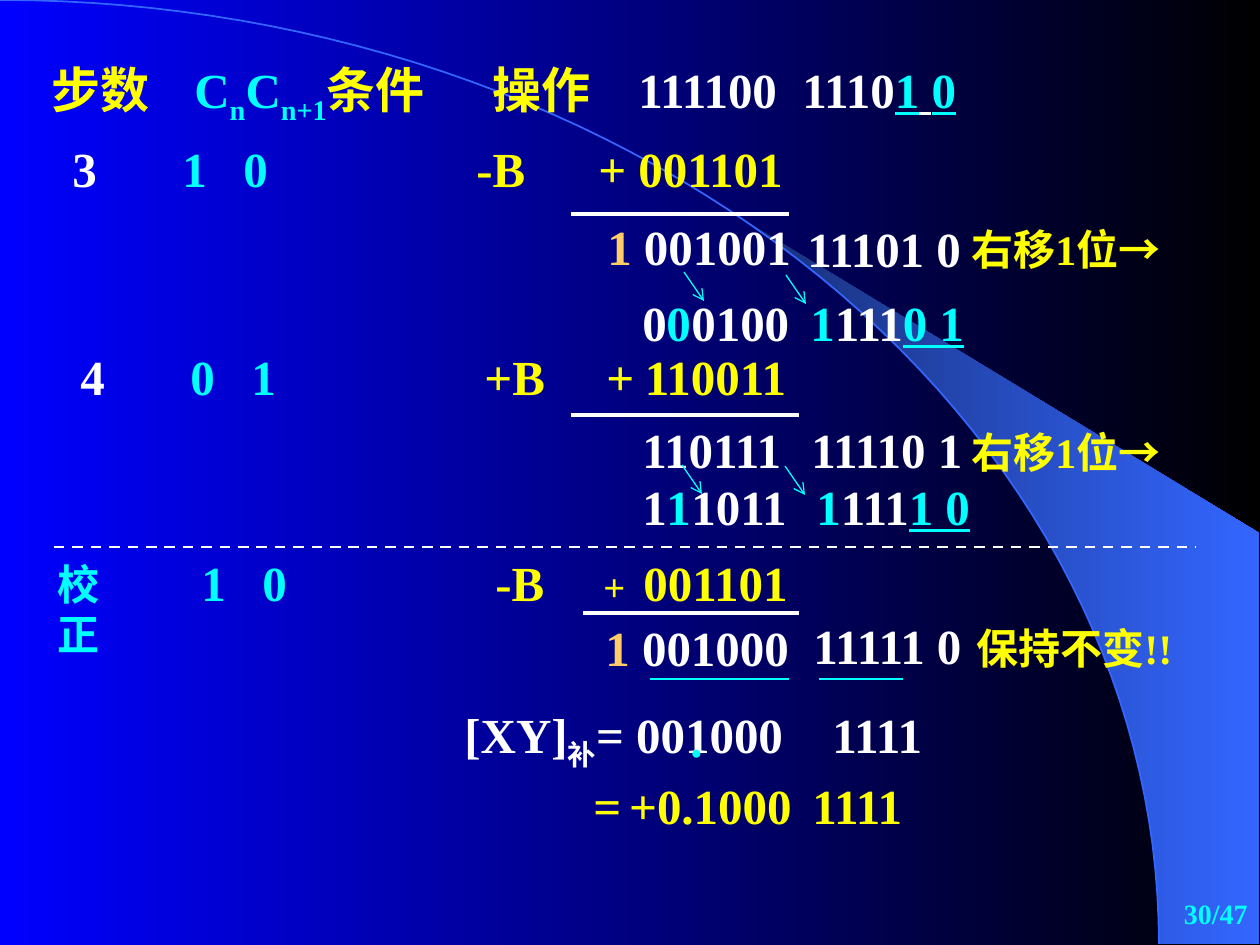
from dataclasses import dataclass
from math import asin, cos, pi, sin

from pptx import Presentation
from pptx.dml.color import RGBColor
from pptx.enum.dml import MSO_LINE
from pptx.enum.shapes import MSO_CONNECTOR
from pptx.enum.text import MSO_ANCHOR, MSO_AUTO_SIZE, PP_ALIGN
from pptx.oxml.ns import qn
from pptx.util import Pt
from lxml.etree import SubElement


@dataclass(frozen=True)
class Theme:
    face: str = "Times New Roman"
    white: str = "FFFFFF"
    yellow: str = "FFFF00"
    cyan: str = "00FFFF"
    gold: str = "FFCC66"
    blue: str = "0000FF"
    black: str = "000000"
    sky: str = "3366FF"
    navy: str = "182F76"
    digit: int = 28
    note: int = 24
    plus: int = 22
    gap: int = 18
    page: int = 16
    thick: float = 2.25
    mid: float = 1.5
    edge: float = 1
    thin: float = 0.75


@dataclass(frozen=True)
class Bit:
    text: str
    hue: str
    size: int = 0
    sub: bool = False
    under: bool = False


@dataclass(frozen=True)
class Sum:
    row: list
    tabs: tuple
    rule: tuple
    high: tuple
    low: tuple
    note: tuple


T = Theme()
WIDE, TALL = 1260, 945
COLS = (110, 171, 404, 526)


def px(n):
    return round(n * 914400 / 126)


def rgb(hue):
    return RGBColor.from_string(hue)


def blend(fill, first, last):
    fill.gradient()
    fill.gradient_angle = 0
    for stop, hue, at in zip(fill.gradient_stops, (first, last), (0, 1)):
        stop.color.rgb = rgb(hue)
        stop.position = at


def write(slide, box, bits, tabs=(), size=T.digit, wrap=True):
    shape = slide.shapes.add_textbox(*map(px, box))
    frame = shape.text_frame
    frame.word_wrap = wrap
    frame.auto_size = MSO_AUTO_SIZE.SHAPE_TO_FIT_TEXT
    para = frame.paragraphs[0]
    para.font.name = T.face
    para.font.size = Pt(size)
    para.font.bold = True
    if tabs:
        stops = para.font._element.getparent().makeelement(qn("a:tabLst"))
        for tab in tabs:
            SubElement(stops, qn("a:tab"), pos=str(px(tab)), algn="l")
        para._p.get_or_add_pPr().insert(0, stops)
    for bit in bits:
        run = para.add_run()
        run.text = bit.text
        run.font.color.rgb = rgb(bit.hue)
        if bit.size:
            run.font.size = Pt(bit.size)
        if bit.under:
            run.font.underline = True
        if bit.sub:
            run.font._element.set("baseline", "-25000")
    return shape


def rule(slide, x, y, w, h=0, hue=T.white, thick=T.thick, dash=None, arrow=False):
    line = slide.shapes.add_connector(
        MSO_CONNECTOR.STRAIGHT, px(x), px(y), px(x + w), px(y + h))
    line.line.color.rgb = rgb(hue)
    line.line.width = Pt(thick)
    if dash:
        line.line.dash_style = dash
    if arrow:
        SubElement(line.line._ln, qn("a:tailEnd"), type="arrow")
    SubElement(line._element.spPr, qn("a:effectLst"))


def backdrop(slide, x, y, w, h):
    def curve(start):
        turns = [start + (pi / 2 - start) * i / 60 for i in range(61)]
        return [(px(x + w * sin(t)), px(y + h * (1 - cos(t)))) for t in turns]

    def trace(points, close):
        pen = slide.shapes.build_freeform(*points[0])
        pen.add_line_segments(points[1:], close=close)
        shape = pen.convert_to_shape()
        shape.shadow.inherit = False
        return shape

    blend(slide.background.fill, T.blue, T.black)
    right = px(WIDE - 1)
    fan = trace(curve(asin(742 / w)) + [(right, px(y + h)), (right, px(533))], True)
    blend(fan.fill, T.navy, T.sky)
    fan.line.fill.background()
    arc = trace(curve(0), False)
    arc.fill.background()
    arc.line.color.rgb = rgb(T.sky)
    arc.line.width = Pt(T.edge)


def header(slide, x, y, w, h):
    write(slide, (x, y, w, h), [
        Bit("步数\t", T.yellow), Bit("C", T.cyan), Bit("n", T.cyan, sub=True),
        Bit("C", T.cyan), Bit("n+1", T.cyan, sub=True),
        Bit("条件\t操作", T.yellow)], (143, 441))
    write(slide, (x + 587, y, 476, 72), [
        Bit("111100\t1110", T.white), Bit("1", T.cyan, under=True),
        Bit(" ", T.white, under=True), Bit("0", T.cyan, under=True)], (164,))


def add(slide, x, y, w, h, part):
    write(slide, (x, y, w, h), part.row, part.tabs)
    dx, dy, span = part.rule
    rule(slide, x + dx, y + dy, span)
    for (dx, dy, span, bits) in (part.high, part.low):
        write(slide, (x + dx, y + dy, span, 72), bits)
    dx, dy, span, text = part.note
    write(slide, (x + dx, y + dy, span, 63), [Bit(text, T.yellow)],
          size=T.note, wrap=False)


def shift(slide, x, y, w, h, first, rest, last, tab, arrows):
    write(slide, (x, y, w, h), [
        Bit(f"{first}\t{rest}\t", T.white), Bit("1", T.cyan),
        Bit("111", T.white), Bit(last, T.cyan, under=True)], (49, tab))
    write(slide, (x + 24, y, 49, h), [Bit(first, T.cyan)], wrap=False)
    for dx, dy in arrows:
        rule(slide, x + dx, y + dy, 20, 29, T.cyan, T.thin, arrow=True)


def fix(slide, x, y, w, h, part):
    rule(slide, x - 25, y + 1, 1142, thick=T.mid, dash=MSO_LINE.DASH)
    add(slide, x, y, w, h, part)
    write(slide, (x - 34, y + 6, 108, 63), [Bit("校正", T.cyan)],
          size=T.note, wrap=False)
    for dx, span in ((571, 139), (740, 84)):
        rule(slide, x + dx, y + 133, span, hue=T.cyan, thick=T.mid)


def result(slide, x, y, w, h):
    write(slide, (x, y, w, h), [
        Bit("[XY]", T.white), Bit("补", T.white, sub=True),
        Bit("= 001000\t1111", T.white)], (368,))
    write(slide, (x + 226, y + 4, 37, 72), [Bit(".", T.cyan)], wrap=False)
    write(slide, (x + 129, y + 71, 387, 72), [
        Bit("=", T.yellow), Bit(" ", T.yellow, T.gap),
        Bit("+0.1000\t1111", T.yellow)], (219,))


def footer(slide, x, y, w, h):
    shape = write(slide, (x, y, w, h), [Bit("30/47", T.cyan)], size=T.page)
    frame = shape.text_frame
    frame.auto_size = MSO_AUTO_SIZE.NONE
    frame.vertical_anchor = MSO_ANCHOR.MIDDLE
    frame.paragraphs[0].alignment = PP_ALIGN.RIGHT


def main():
    deck = Presentation()
    deck.slide_width, deck.slide_height = px(WIDE), px(TALL)
    slide = deck.slides.add_slide(deck.slide_layouts[6])
    third = Sum(
        [Bit("3\t", T.white), Bit("1\t0\t", T.cyan), Bit("-B\t+ 001101", T.yellow)],
        COLS, (511, 82, 218),
        (535, 78, 238, [Bit("1", T.gold), Bit(" 001001", T.white)]),
        (735, 80, 189, [Bit("11101 0", T.white)]), (899, 85, 234, "右移1位→"))
    fourth = Sum(
        [Bit("4\t", T.white), Bit("0\t1\t", T.cyan), Bit("+B\t+", T.yellow),
         Bit(" ", T.yellow, T.note), Bit("110011", T.yellow)],
        COLS, (503, 75, 228),
        (562, 73, 208, [Bit("110111", T.white)]),
        (731, 73, 189, [Bit("11110 1", T.white)]), (891, 80, 234, "右移1位→"))
    final = Sum(
        [Bit("\t1\t0\t", T.cyan), Bit("-B\t", T.yellow),
         Bit("+\t", T.yellow, T.plus), Bit("001101", T.yellow)],
        COLS[:3] + (512, 552), (504, 67, 216),
        (514, 65, 234, [Bit("1", T.gold), Bit(" 001000", T.white)]),
        (722, 63, 189, [Bit("11111 0", T.white)]), (885, 70, 231, "保持不变!!"))
    backdrop(slide, 0, 0, 1159, 944)
    header(slide, 39, 53, 1067, 79)
    add(slide, 60, 132, 868, 72, third)
    shift(slide, 630, 286, 476, 72, "0", "0100", "0 1", 168, ((54, -14), (156, -11)))
    add(slide, 68, 340, 1037, 72, fourth)
    shift(slide, 630, 470, 476, 72, "1", "1011", "1 0", 174, ((52, -5), (155, -4)))
    fix(slide, 79, 546, 1037, 72, final)
    result(slide, 452, 698, 498, 79)
    footer(slide, 998, 882, 262, 63)
    deck.save("out.pptx")


if __name__ == "__main__":
    main()
